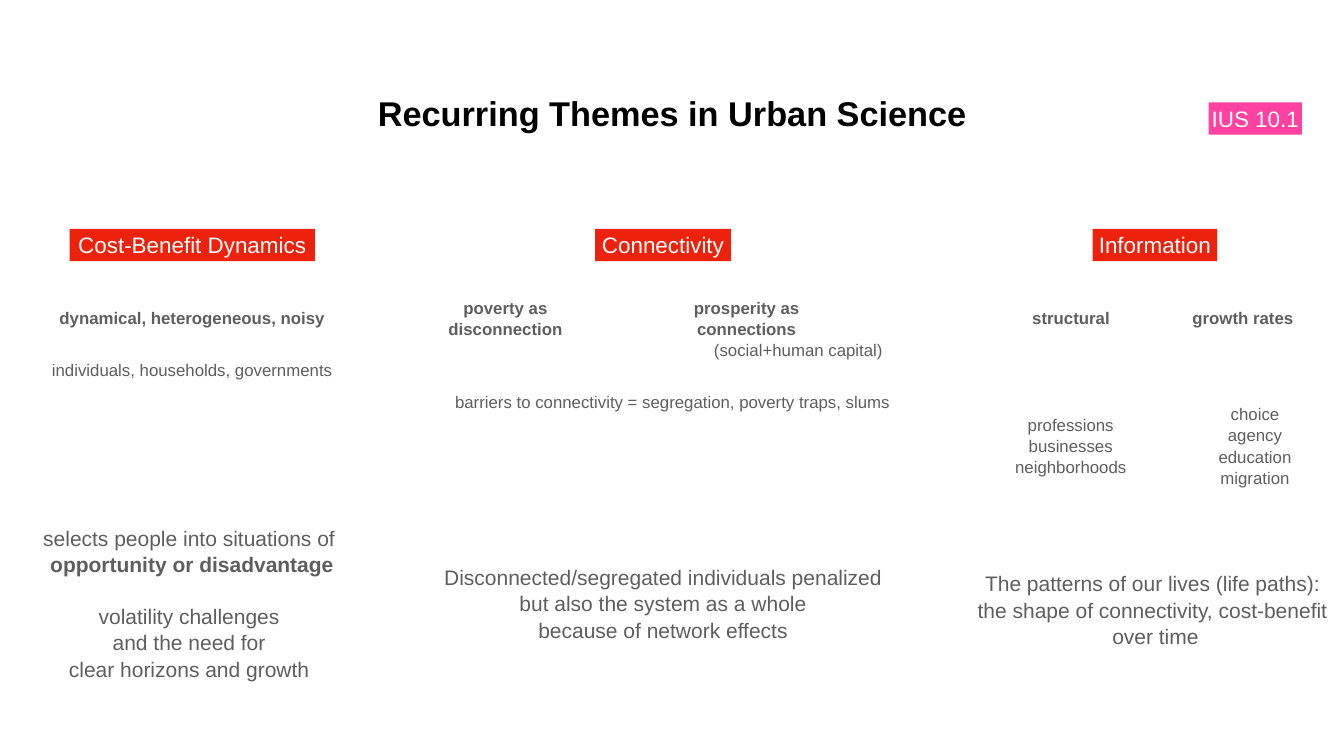
from pptx import Presentation
from pptx.dml.color import RGBColor
from pptx.enum.text import MSO_ANCHOR, MSO_AUTO_SIZE, PP_ALIGN
from pptx.util import Pt

COLORS = {"title": "000000", "body": "5E5E5E", "tag_text": "FFFFFF",
          "theme": "ED220D", "chapter": "FF42A1"}
FONT = "Arial"
INSET = 4
DETAIL, SUMMARY, TAG, TITLE = 24, 30, 32, 49  # text sizes
LINE = 1.05  # line spacing of texts with several lines
TAG_HEIGHT, DETAIL_HEIGHT = 46, 36
THEME_TOP, ASPECT_TOP = 327, 436.3


def add_text(slide, lines, left, top, width, height, size=DETAIL,
             color="body", bold=False, fill=None):
    """Add centred lines; a line break inside a line is written as \\v."""
    box = slide.shapes.add_textbox(Pt(left), Pt(top), Pt(width), Pt(height))
    if fill:
        box.fill.solid()
        box.fill.fore_color.rgb = RGBColor.from_string(COLORS[fill])
    frame = box.text_frame
    frame.margin_left = frame.margin_right = Pt(INSET)
    frame.margin_top = frame.margin_bottom = Pt(INSET)
    frame.vertical_anchor = MSO_ANCHOR.MIDDLE
    frame.word_wrap = False
    frame.auto_size = MSO_AUTO_SIZE.SHAPE_TO_FIT_TEXT
    frame.text = "\n".join(lines)
    several = len(lines) > 1 or "\v" in lines[0]
    for paragraph in frame.paragraphs:
        paragraph.alignment = PP_ALIGN.CENTER
        if several:
            paragraph.line_spacing = LINE
        for run in paragraph.runs:
            font = run.font
            font.name, font.size, font.bold = FONT, Pt(size), bold
            font.color.rgb = RGBColor.from_string(COLORS[color])
    return frame.paragraphs


def add_tag(slide, label, left, top, width, fill="theme"):
    add_text(slide, [label], left, top, width, TAG_HEIGHT, TAG,
             "tag_text", fill=fill)


def add_aspect(slide, label, left, width):
    add_text(slide, [label], left, ASPECT_TOP, width, DETAIL_HEIGHT, bold=True)


def add_split_aspect(slide, label, left, width):
    """Add a bold aspect on two lines, centred on the row of aspects."""
    height = 66
    top = ASPECT_TOP + (DETAIL_HEIGHT - height) / 2
    add_text(slide, [label], left, top, width, height, bold=True)


def add_cost_benefit(slide):
    add_tag(slide, "Cost-Benefit Dynamics", 99.4, THEME_TOP, 350.6)
    add_aspect(slide, "dynamical, heterogeneous, noisy ", 78.5, 391.7)
    add_text(slide, ["individuals, households, governments"],
             67.7, 509.8, 413.3, DETAIL_HEIGHT)
    summary = add_text(slide, ["selects people into situations of ",
                               "opportunity or disadvantage",
                               "volatility challenges ",
                               "and the need for ",
                               "clear horizons and growth "],
                       53.3, 748.8, 442, 224, SUMMARY)
    summary[1].runs[0].font.bold = True
    summary[2].space_before = Pt(36)


def add_connectivity(slide):
    add_tag(slide, "Connectivity", 850.3, THEME_TOP, 193.7)
    add_split_aspect(slide, "poverty as\vdisconnection", 636.5, 171)
    add_split_aspect(slide, "prosperity as\vconnections", 987.1, 159)
    add_text(slide, ["(social+human capital)"],
             1015.9, 481, 249, DETAIL_HEIGHT)
    add_text(slide, ["barriers to connectivity = segregation, poverty traps, slums"],
             640.8, 556.6, 639.4, DETAIL_HEIGHT)
    add_text(slide, ["Disconnected/segregated individuals penalized",
                     "but also the system as a whole",
                     "because of network effects"],
             626.4, 803.5, 641.5, 115.2, SUMMARY)


def add_information(slide):
    add_tag(slide, "Information", 1561, THEME_TOP, 177.8)
    add_aspect(slide, "structural", 1470.2, 119.5)
    add_aspect(slide, "growth rates", 1698.5, 154)
    add_text(slide, ["professions", "businesses", "neighborhoods"],
             1444.3, 589, 170.6, 94.3)
    add_text(slide, ["choice", "agency", "education", "migration"],
             1735.2, 574.6, 115.2, 123)
    add_text(slide, ["The patterns of our lives (life paths): ",
                     "the shape of connectivity, cost-benefit ",
                     "over time"],
             1386, 812.9, 529.2, 115.2, SUMMARY)


def main():
    prs = Presentation()
    prs.slide_width, prs.slide_height = Pt(1920), Pt(1080)
    slide = prs.slides.add_slide(prs.slide_layouts[6])

    # Heading and chapter tag
    add_text(slide, ["Recurring Themes in Urban Science"],
             535, 128.2, 850.3, 66.2, TITLE, "title", bold=True)
    add_tag(slide, "IUS 10.1", 1726.6, 146.2, 133.2, "chapter")

    # One column per theme
    add_cost_benefit(slide)
    add_connectivity(slide)
    add_information(slide)

    prs.save("out.pptx")


if __name__ == "__main__":
    main()
